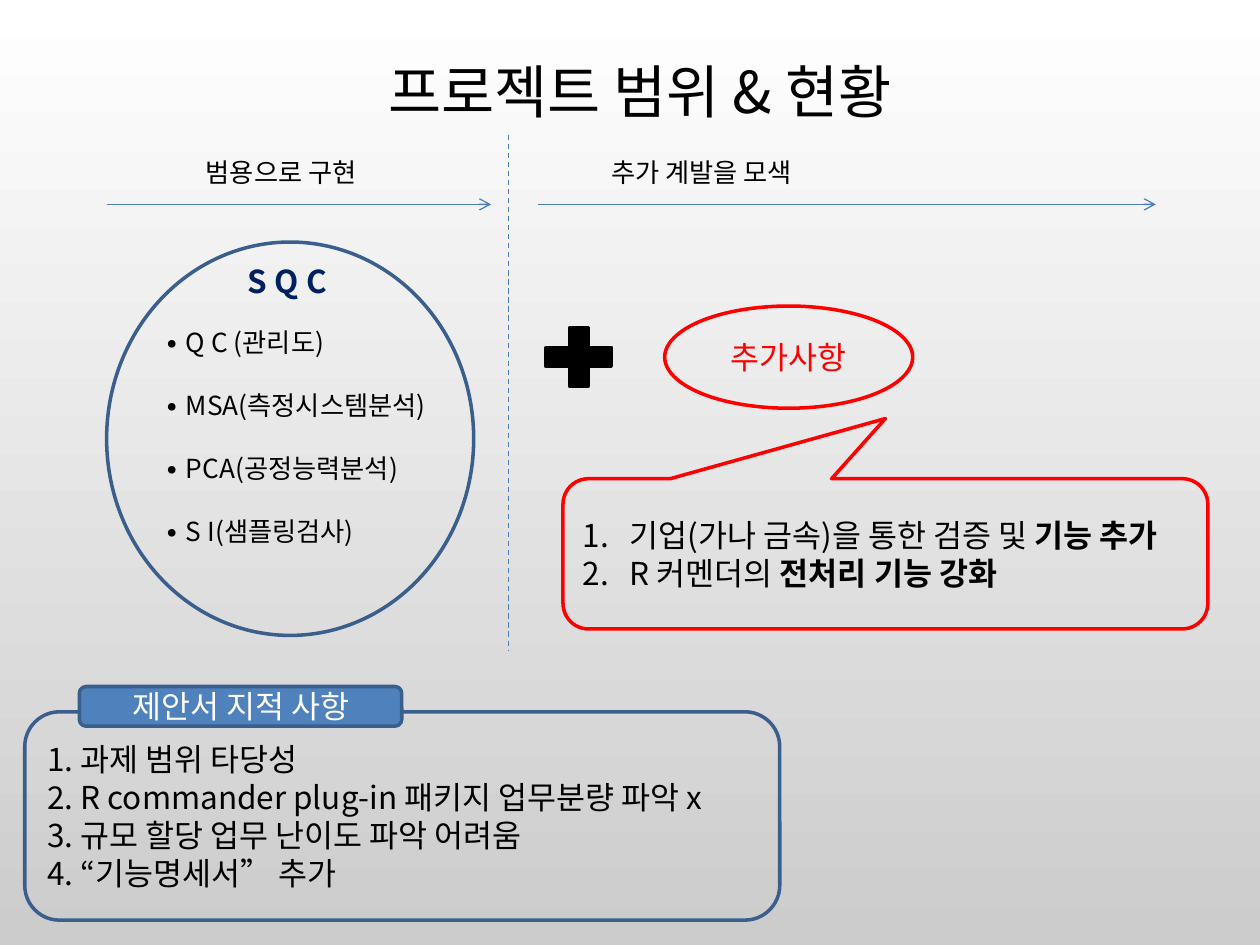
from lxml import etree
from pptx import Presentation
from pptx import util as u
from pptx.dml.color import RGBColor
from pptx.enum import dml, shapes, text
from pptx.oxml.ns import qn

FONT = "Noto Sans CJK KR"
BLACK, WHITE, RED = "000000", "FFFFFF", "FF0000"
BLUE, EDGE, RULE, NAVY = "4F81BD", "3A5F8C", "4B7EBC", "002060"
LEFT, CENTER = text.PP_ALIGN.LEFT, text.PP_ALIGN.CENTER
TOP, MIDDLE = text.MSO_ANCHOR.TOP, text.MSO_ANCHOR.MIDDLE
SHAPE = shapes.MSO_SHAPE


def rgb(value):
    return RGBColor.from_string(value)


def write(frame, paragraphs, size=18, color=BLACK, bold=False, align=LEFT,
          anchor=MIDDLE, gap=0, numbered=False):
    """Each paragraph is a string, or a list of (string, bold) pairs."""
    frame.word_wrap = True
    frame.vertical_anchor = anchor
    for index, content in enumerate(paragraphs):
        paragraph = frame.paragraphs[0] if index == 0 else frame.add_paragraph()
        paragraph.alignment = align
        paragraph.line_spacing = u.Pt(size * 1.2)
        paragraph.space_after = u.Pt(gap)
        if numbered:
            number_paragraph(paragraph)
        runs = [(content, bold)] if isinstance(content, str) else content
        for words, strong in runs:
            run = paragraph.add_run()
            run.text = words
            run.font.size = u.Pt(size)
            run.font.bold = strong
            run.font.name = FONT
            run.font.color.rgb = rgb(color)
            east_asian = etree.SubElement(run.font._element, qn("a:ea"))
            east_asian.set("typeface", FONT)


def number_paragraph(paragraph):
    properties = paragraph._p.get_or_add_pPr()
    indent = u.Cm(0.95)
    properties.set("marL", str(indent))
    properties.set("indent", str(-indent))
    numbering = etree.SubElement(properties, qn("a:buAutoNum"))
    numbering.set("type", "arabicPeriod")


def add_label(slide, box, paragraphs, **style):
    label = slide.shapes.add_textbox(*map(u.Cm, box))
    write(label.text_frame, paragraphs, **style)


def add_outline(slide, kind, box, line, fill=None, paragraphs=(), adjust=(), **style):
    outline = slide.shapes.add_shape(kind, *map(u.Cm, box))
    outline.shadow.inherit = False
    for index, value in enumerate(adjust):
        outline.adjustments[index] = value
    if fill:
        outline.fill.solid()
        outline.fill.fore_color.rgb = rgb(fill)
    else:
        outline.fill.background()
    outline.line.color.rgb = rgb(line)
    outline.line.width = u.Pt(2)
    write(outline.text_frame, paragraphs, **style)


def add_rule(slide, start, end, dashed=False, arrow=False):
    rule = slide.shapes.add_connector(
        shapes.MSO_CONNECTOR.STRAIGHT, *map(u.Cm, start + end))
    rule.line.color.rgb = rgb(RULE)
    rule.line.width = u.Pt(0.75)
    if dashed:
        rule.line.dash_style = dml.MSO_LINE.DASH
    if arrow:
        tail = etree.SubElement(rule.line._get_or_add_ln(), qn("a:tailEnd"))
        tail.set("type", "arrow")
    etree.SubElement(rule._element.spPr, qn("a:effectLst"))


def paint_background(slide):
    fill = slide.background.fill
    fill.gradient()
    fill.gradient_angle = 90
    for stop, color in zip(fill.gradient_stops, ("CCCCCC", WHITE)):
        stop.color.rgb = rgb(color)


def main():
    deck = Presentation()
    deck.slide_width, deck.slide_height = u.Cm(25.4), u.Cm(19.05)
    slide = deck.slides.add_slide(deck.slide_layouts[6])
    paint_background(slide)

    # Title
    add_label(slide, (2.1, 0.92, 21.6, 1.8), ["프로젝트 범위 & 현황"],
              size=33, align=CENTER)

    # General scope: SQC and its methods
    add_outline(slide, SHAPE.OVAL, (2.15, 4.88, 7.4, 7.93), EDGE)
    add_label(slide, (4.75, 5.15, 3.8, 1.03), ["S Q C"],
              color=NAVY, bold=True, anchor=TOP)
    methods = ["Q C (관리도)", "MSA(측정시스템분석)", "PCA(공정능력분석)", "S I(샘플링검사)"]
    add_label(slide, (3.05, 6.45, 7.2, 4.83), [f"∙ {method}" for method in methods],
              size=15, gap=18, anchor=TOP)

    # Additional scope
    add_outline(slide, SHAPE.MATH_PLUS, (10.77, 6.4, 1.8, 1.6), BLACK, BLACK)
    add_outline(slide, SHAPE.OVAL, (13.4, 6.17, 5, 2.06), RED,
                paragraphs=["추가사항"], color=RED, align=CENTER)
    additions = [
        [("기업(가나 금속)을 통한 검증 및 ", False), ("기능 추가", True)],
        [("R 커멘더의 ", False), ("전처리 기능 강화", True)],
    ]
    add_outline(slide, SHAPE.ROUNDED_RECTANGULAR_CALLOUT, (11.35, 9.65, 13, 3.03), RED,
                paragraphs=additions, adjust=(0, -0.9, 0.17), numbered=True)

    # Divider, and an arrow with a heading for each scope
    add_rule(slide, (10.25, 2.72), (10.25, 13.13), dashed=True)
    for heading, heading_left, width, start, end in (
        ("범용으로 구현", 3.9, 3.9, 2.15, 9.9),
        ("추가 계발을 모색", 12.07, 8.65, 10.85, 23.3),
    ):
        add_rule(slide, (start, 4.12), (end, 4.12), arrow=True)
        add_label(slide, (heading_left, 3.02, width, 0.9), [heading],
                  size=15, anchor=TOP)

    # Remarks on the proposal
    remarks = ["과제 범위 타당성", "R commander plug-in 패키지 업무분량 파악 x",
               "규모 할당 업무 난이도 파악 어려움", "“기능명세서” 추가"]
    add_outline(slide, SHAPE.ROUNDED_RECTANGLE, (0.5, 14.35, 15.22, 4.2), EDGE,
                paragraphs=[f"{n}. {remark}" for n, remark in enumerate(remarks, 1)])
    add_outline(slide, SHAPE.ROUNDED_RECTANGLE, (1.6, 13.84, 6.5, 0.8), EDGE, BLUE,
                paragraphs=["제안서 지적 사항"], color=WHITE, align=CENTER)

    deck.save("out.pptx")


if __name__ == "__main__":
    main()
